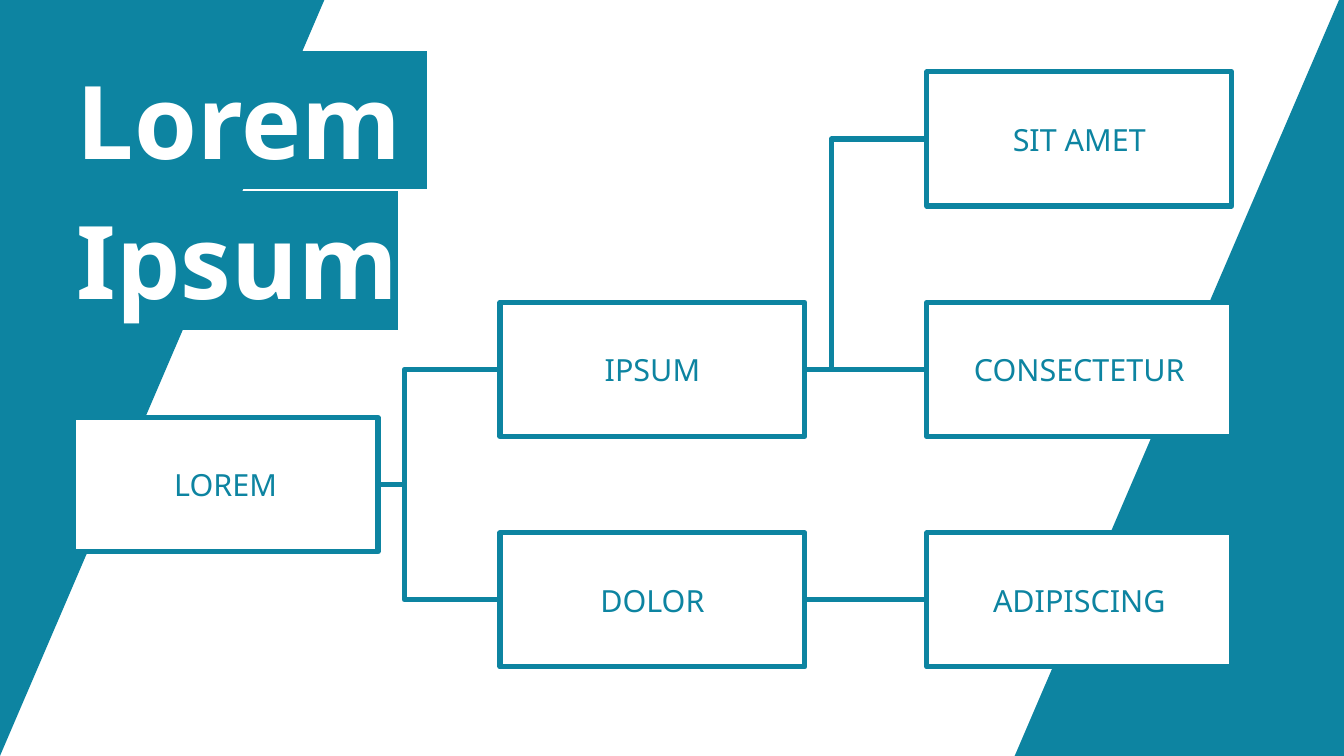
from lxml.etree import SubElement
from pptx import Presentation
from pptx.dml.color import RGBColor
from pptx.enum.shapes import MSO_CONNECTOR, MSO_SHAPE
from pptx.enum.text import MSO_ANCHOR, PP_ALIGN
from pptx.oxml import parse_xml
from pptx.oxml.ns import nsdecls, qn
from pptx.util import Inches, Pt

WIDE, HIGH = 11.02, 6.2
TEAL, WHITE = "0D84A1", "FFFFFF"
FONT = "Noto Sans"
BOX_W, BOX_H = 2.5, 1.1
STEP_X, STEP_Y = 3.5, 1.89
TURN = 21700  # elbow position, in 1/100000 of the connector width

# name: (column, row)
NODES = {
    "LOREM": (0, 1.5),
    "IPSUM": (1, 1),
    "DOLOR": (1, 2),
    "SIT AMET": (2, 0),
    "CONSECTETUR": (2, 1),
    "ADIPISCING": (2, 2),
}
LINKS = [
    ("LOREM", "IPSUM"),
    ("LOREM", "DOLOR"),
    ("IPSUM", "SIT AMET"),
    ("IPSUM", "CONSECTETUR"),
    ("DOLOR", "ADIPISCING"),
]


def rgb(code):
    return RGBColor.from_string(code)


def fill(shape, code):
    shape.shadow.inherit = False
    shape.fill.solid()
    shape.fill.fore_color.rgb = rgb(code)


def stroke(line):
    line.color.rgb = rgb(TEAL)
    line.width = Pt(3)


def style(item, values):
    for name, value in values.items():
        setattr(item, name, value)


def add_band(slide, points):
    points = [(Inches(x), Inches(y)) for x, y in points]
    form = slide.shapes.build_freeform(*points[0], scale=1.0)
    form.add_line_segments(points[1:], close=True)
    band = form.convert_to_shape()
    fill(band, TEAL)
    band.line.fill.background()


def add_bands(slide, wide, high):
    slant, edge = 2.66, 0.04
    add_band(slide, [(0, 0), (slant, 0), (0, high)])
    add_band(slide, [(wide - edge, 0), (wide, 0), (wide, high),
                     (wide - edge - slant, high)])


def add_title(slide, text, left, top, wide, high):
    box = slide.shapes.add_textbox(*map(Inches, (left, top, wide, high)))
    frame = box.text_frame
    style(frame, dict(word_wrap=True, vertical_anchor=MSO_ANCHOR.MIDDLE,
                      margin_left=0, margin_right=0,
                      margin_top=0, margin_bottom=0))
    para = frame.paragraphs[0]
    para.text = text
    para.line_spacing = 1.15
    for run in para.runs:
        style(run.font, dict(name=FONT, size=Pt(60), bold=True))
        run.font.color.rgb = rgb(WHITE)
        mark = parse_xml(f"<a:highlight {nsdecls('a')}>"
                         f'<a:srgbClr val="{TEAL}"/></a:highlight>')
        run.font._element.find(qn("a:solidFill")).addnext(mark)


def add_node(slide, text, left, top):
    node = slide.shapes.add_shape(
        MSO_SHAPE.RECTANGLE, *map(Inches, (left, top, BOX_W, BOX_H)))
    fill(node, WHITE)
    stroke(node.line)
    frame = node.text_frame
    style(frame, dict(word_wrap=False, vertical_anchor=MSO_ANCHOR.MIDDLE,
                      margin_left=Inches(0.12), margin_right=Inches(0.12),
                      margin_top=Inches(0.07), margin_bottom=Inches(0.07)))
    para = frame.paragraphs[0]
    para.text = text
    para.alignment = PP_ALIGN.CENTER
    font = para.runs[0].font
    style(font, dict(name=FONT, size=Pt(18)))
    font.color.rgb = rgb(TEAL)
    return node


def add_link(slide, start, end):
    """Join the right side of one node to the left side of the next."""
    level = start.top == end.top
    kind = MSO_CONNECTOR.STRAIGHT if level else MSO_CONNECTOR.ELBOW
    link = slide.shapes.add_connector(kind, 0, 0, 0, 0)
    link.begin_connect(start, 3)
    link.end_connect(end, 1)
    stroke(link.line)
    props = link._element.spPr
    SubElement(props, qn("a:effectLst"))
    if not level:
        guides = props.find(qn("a:prstGeom")).get_or_add_avLst()
        SubElement(guides, qn("a:gd"), name="adj1", fmla=f"val {TURN}")


def add_tree(slide, left, top):
    nodes = {
        text: add_node(slide, text, left + col * STEP_X, top + row * STEP_Y)
        for text, (col, row) in NODES.items()
    }
    for start, end in LINKS:
        add_link(slide, nodes[start], nodes[end])


def main():
    deck = Presentation()
    style(deck, dict(slide_width=Inches(WIDE), slide_height=Inches(HIGH)))
    slide = deck.slides.add_slide(deck.slide_layouts[6])
    add_bands(slide, WIDE, HIGH)
    add_tree(slide, 0.6, 0.59)
    add_title(slide, "Lorem \vIpsum", 0.63, 0.17, 5.35, 2.61)
    deck.save("out.pptx")


if __name__ == "__main__":
    main()
